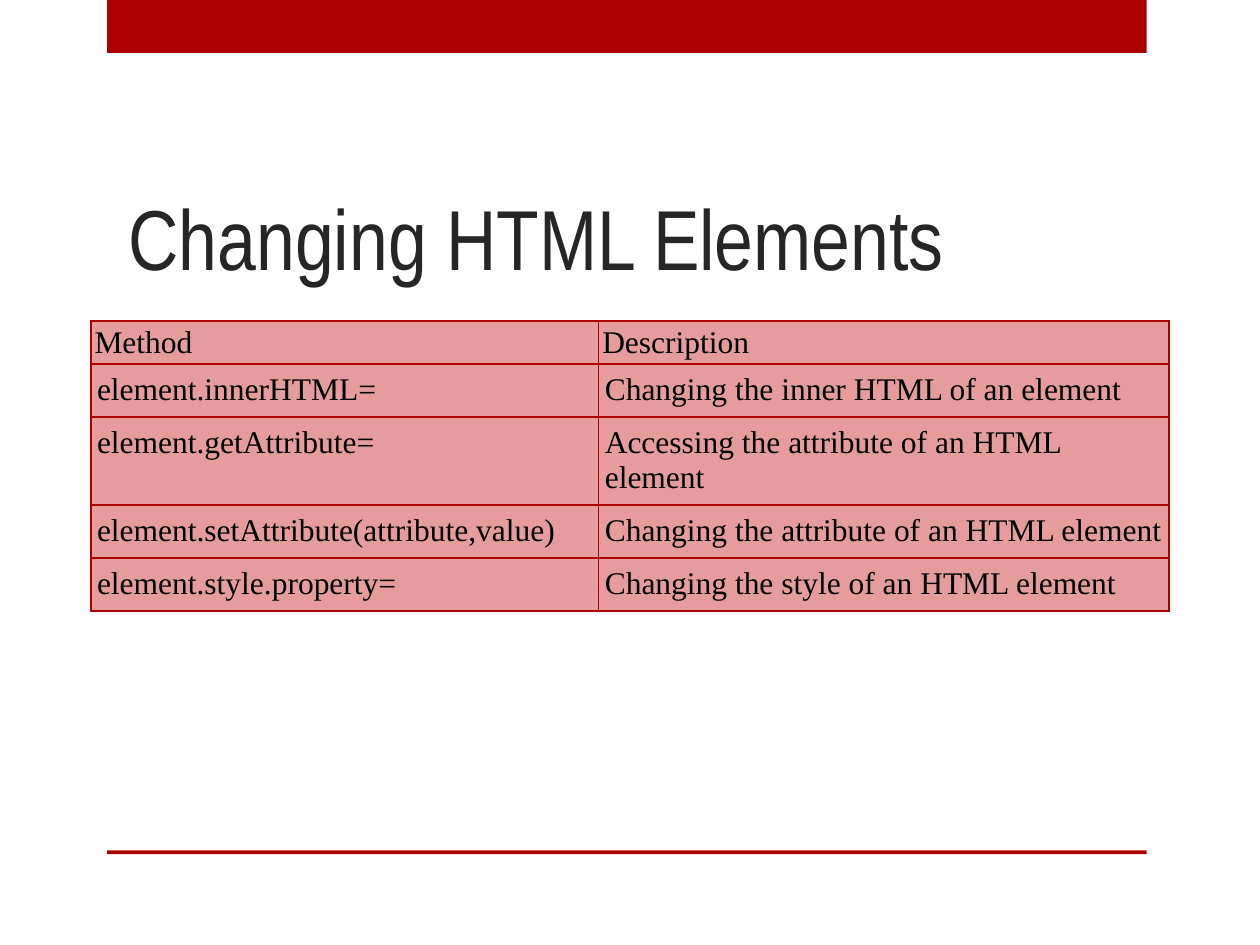
import pptx
import pptx.dml.color
import pptx.enum.shapes
import pptx.enum.text
import pptx.util
from lxml import etree

Inches = pptx.util.Inches
Pt = pptx.util.Pt
RGBColor = pptx.dml.color.RGBColor

RED = RGBColor(0xAD, 0x01, 0x01)
PINK = RGBColor(0xE4, 0x9C, 0x9C)
DARK = RGBColor(0x26, 0x26, 0x26)
BLACK = RGBColor(0, 0, 0)
NS = "http://schemas.openxmlformats.org/drawingml/2006/main"

ROWS = [
    ("Method", "Description"),
    ("element.innerHTML=", "Changing the inner HTML of an element"),
    ("element.getAttribute=", "Accessing the attribute of an HTML element"),
    ("element.setAttribute(attribute,value)",
     "Changing the attribute of an HTML element"),
    ("element.style.property=", "Changing the style of an HTML element"),
]
WIDTHS = (4.03, 4.53)
HEIGHTS = (0.33, 0.42, 0.7, 0.42, 0.42)


def add_bar(slide, box):
    """Draw a plain red bar in the box."""
    kind = pptx.enum.shapes.MSO_SHAPE.RECTANGLE
    bar = slide.shapes.add_shape(kind, *map(Inches, box))
    bar.shadow.inherit = False
    bar.fill.solid()
    bar.fill.fore_color.rgb = RED
    bar.line.fill.background()


def set_font(para, name, size, color):
    """Set the font of a whole paragraph."""
    font = para.font
    font.name, font.size = name, Pt(size)
    font.color.rgb = color


def set_title(slide, text, box):
    """Move the title to the box and format it."""
    title = slide.shapes.title
    title.left, title.top, title.width, title.height = map(Inches, box)
    frame = title.text_frame
    frame.text = text
    frame.word_wrap = True
    frame.auto_size = pptx.enum.text.MSO_AUTO_SIZE.NONE
    frame.vertical_anchor = pptx.enum.text.MSO_ANCHOR.BOTTOM
    para = frame.paragraphs[0]
    para.alignment = pptx.enum.text.PP_ALIGN.LEFT
    set_font(para, "Arial Narrow", 48.6, DARK)


def add_edges(cell):
    """Rule all four sides of a cell in red."""
    props = cell._tc.get_or_add_tcPr()
    for side in "LRTB":
        line = etree.SubElement(props, f"{{{NS}}}ln{side}", w=str(Pt(1.25)))
        fill = etree.SubElement(line, f"{{{NS}}}solidFill")
        etree.SubElement(fill, f"{{{NS}}}srgbClr", val=str(RED))


def fill_cell(cell, text, pad_x, pad_y):
    """Write and format one cell."""
    cell.text = text
    cell.margin_left = cell.margin_right = Inches(pad_x)
    cell.margin_top = cell.margin_bottom = Inches(pad_y)
    add_edges(cell)
    cell.fill.solid()
    cell.fill.fore_color.rgb = PINK
    set_font(cell.text_frame.paragraphs[0], "Times New Roman", 18, BLACK)


def add_grid(slide, left, top):
    """Build the table of methods from its top left corner."""
    box = (left, top, sum(WIDTHS), sum(HEIGHTS))
    frame = slide.shapes.add_table(len(ROWS), len(WIDTHS), *map(Inches, box))
    table = frame.table
    table.first_row = table.horz_banding = False
    for col, width in zip(table.columns, WIDTHS):
        col.width = Inches(width)
    for i, (row, height) in enumerate(zip(table.rows, HEIGHTS)):
        row.height = Inches(height)
        pads = (0.05, 0.07) if i else (0.03, 0.03)
        for cell, text in zip(row.cells, ROWS[i]):
            fill_cell(cell, text, *pads)


def main():
    """Build and save the slide."""
    deck = pptx.Presentation()
    deck.slide_width, deck.slide_height = Inches(10), Inches(7.5)
    slide = deck.slides.add_slide(deck.slide_layouts.get_by_name("Title Only"))
    add_bar(slide, (0.85, 0, 8.25, 0.42))
    add_bar(slide, (0.85, 6.75, 8.25, 0.03))
    set_title(slide, "Changing HTML Elements", (0.92, 0.58, 7.42, 1.75))
    add_grid(slide, 0.72, 2.55)
    deck.save("out.pptx")


if __name__ == "__main__":
    main()
